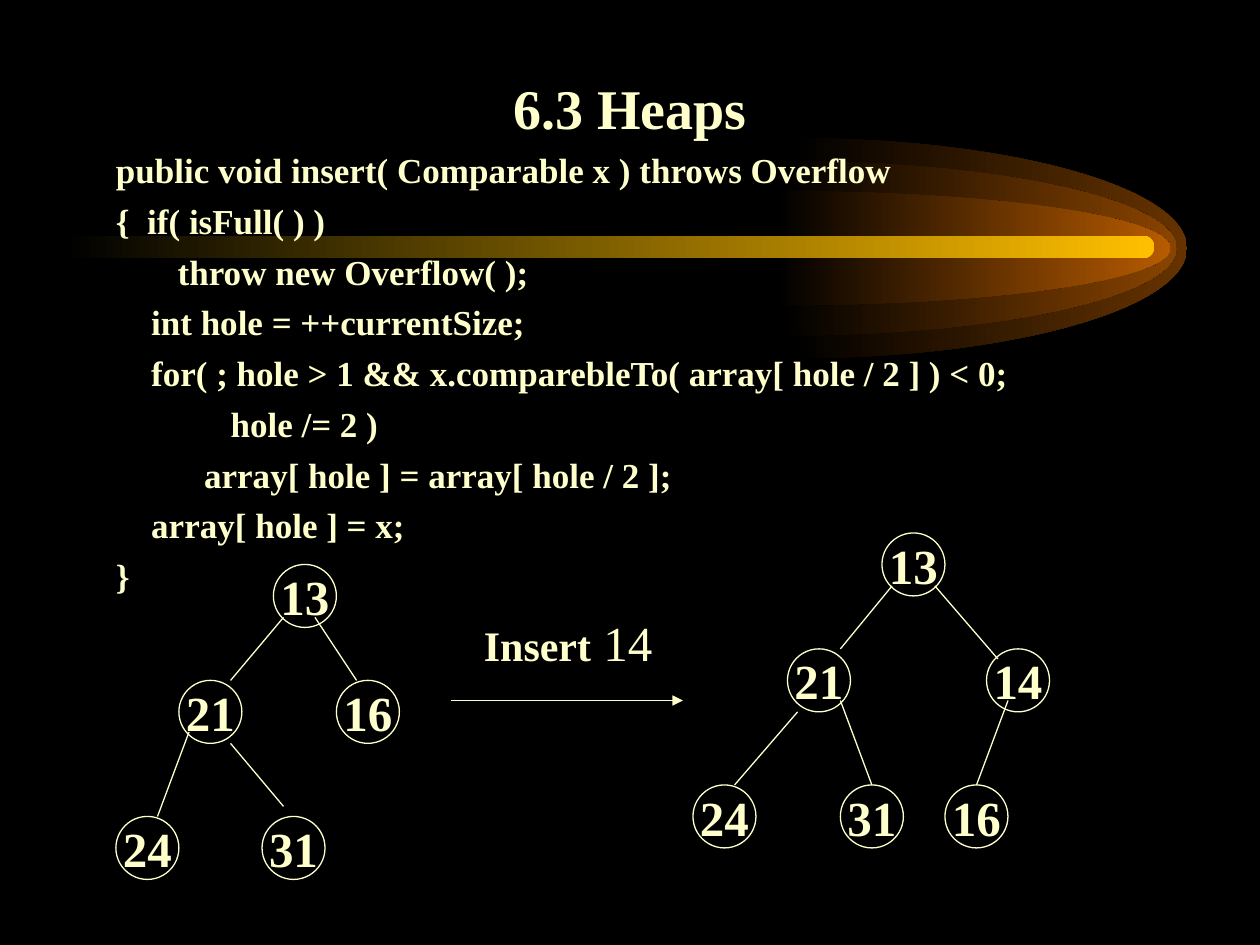
from lxml.etree import SubElement
from pptx import Presentation
from pptx.dml.color import RGBColor
from pptx.enum.shapes import MSO_CONNECTOR, MSO_SHAPE
from pptx.enum.text import MSO_ANCHOR, MSO_AUTO_SIZE, PP_ALIGN
from pptx.oxml.ns import qn
from pptx.util import Inches, Pt

COLORS = {"background": "000000", "ink": "FFFFCC", "bar": "FFBF00"}
FONT = "Times New Roman"
NODE_SIZE = 0.5
LINE_WIDTH = Pt(0.74)
COMET_MIDDLE = 1.97
INDENT_STEP = 0.07
ARC_PULL = 0.55

TITLE = "6.3 Heaps"
# (indent steps, code)
CODE = [
    (1, "public void insert( Comparable x ) throws Overflow"),
    (1, "{  if( isFull( ) )"),
    (8, "throw new Overflow( );"),
    (5, "int hole = ++currentSize;"),
    (5, "for( ; hole > 1 && x.comparebleTo( array[ hole / 2 ] ) < 0;"),
    (14, "hole /= 2 )"),
    (11, "array[ hole ] = array[ hole / 2 ];"),
    (5, "array[ hole ] = x;"),
    (1, "}"),
]
# (left, width, height, glow color)
GLOWS = [
    (6.29, 3.13, 1.75, "663300"),
    (6.21, 3.13, 1.39, "894400"),
    (6.16, 3.13, 0.91, "B75B00"),
]
# nodes: (key, left, top); edges: (x1, y1, x2, y2)
TREES = [
    {
        "nodes": [("13", 2.17, 4.48), ("21", 1.42, 5.4), ("16", 2.67, 5.4),
                  ("24", 0.92, 6.48), ("31", 2.08, 6.48)],
        "edges": [(2.25, 4.9, 1.83, 5.4), (2.5, 4.9, 2.83, 5.4),
                  (1.5, 5.81, 1.25, 6.48), (1.83, 5.9, 2.25, 6.4)],
    },
    {
        "nodes": [("16", 7.5, 6.23), ("31", 6.67, 6.23), ("24", 5.5, 6.23),
                  ("14", 7.83, 5.15), ("13", 7, 4.23), ("21", 6.25, 5.15)],
        "edges": [(7.08, 4.65, 6.67, 5.15), (6.33, 5.65, 5.83, 6.23),
                  (7.42, 4.65, 7.92, 5.23), (6.67, 5.56, 6.92, 6.23),
                  (8, 5.56, 7.75, 6.23)],
    },
]
INSERT_ARROW = (3.58, 5.56, 5.42, 5.56)


def rgb(name):
    """Return the named color."""
    return RGBColor.from_string(COLORS[name])


def style_font(font, size, bold=True):
    """Apply the slide's typeface and ink color."""
    font.name, font.size, font.bold = FONT, Pt(size), bold
    font.color.rgb = rgb("ink")


def place(shape, left, top, width, height):
    """Move and size a shape, in inches."""
    shape.left, shape.top = Inches(left), Inches(top)
    shape.width, shape.height = Inches(width), Inches(height)


def fade_from_black(shape, color):
    """Fill a shape with a left-to-right gradient out of the background."""
    shape.shadow.inherit = False
    shape.line.fill.background()
    shape.fill.gradient()
    shape.fill.gradient_angle = 0
    first, last = shape.fill.gradient_stops
    first.position, last.position = 0, 1
    first.color.rgb = rgb("background")
    last.color.rgb = RGBColor.from_string(color)


def add_glow(shapes, left, width, height, color):
    """Draw the right half of an ellipse as two quarter curves."""
    half = height / 2
    right, top = left + width, COMET_MIDDLE - half
    builder = shapes.build_freeform(Inches(left), Inches(top))
    builder.add_line_segments([(Inches(right), Inches(COMET_MIDDLE)),
                               (Inches(left), Inches(top + height))])
    glow = builder.convert_to_shape()
    pull_x, pull_y = width * ARC_PULL, half * ARC_PULL
    curves = [
        [(pull_x, 0), (width, half - pull_y), (width, half)],
        [(width, half + pull_y), (pull_x, height), (0, height)],
    ]
    segments = list(glow._element.iter(qn("a:lnTo")))
    for segment, points in zip(segments, curves):
        curve = segment.makeelement(qn("a:cubicBezTo"))
        for x, y in points:
            SubElement(curve, qn("a:pt"), x=str(Inches(x)), y=str(Inches(y)))
        segment.getparent().replace(segment, curve)
    fade_from_black(glow, color)


def add_node(shapes, key, left, top):
    """Draw one circled heap key."""
    node = shapes.add_shape(MSO_SHAPE.OVAL, Inches(left), Inches(top),
                            Inches(NODE_SIZE), Inches(NODE_SIZE))
    node.shadow.inherit = False
    node.fill.background()
    node.line.color.rgb, node.line.width = rgb("ink"), LINE_WIDTH
    frame = node.text_frame
    frame.word_wrap, frame.vertical_anchor = False, MSO_ANCHOR.MIDDLE
    paragraph = frame.paragraphs[0]
    paragraph.text, paragraph.alignment = key, PP_ALIGN.CENTER
    paragraph.space_before = Pt(7)
    style_font(paragraph.font, 28)


def add_line(shapes, ends, arrow=False):
    """Draw a straight line, with an arrowhead at its end on request."""
    line = shapes.add_connector(MSO_CONNECTOR.STRAIGHT, *map(Inches, ends))
    line.line.color.rgb, line.line.width = rgb("ink"), LINE_WIDTH
    if arrow:
        SubElement(line.line._get_or_add_ln(), qn("a:tailEnd"), type="triangle")
    SubElement(line._element.spPr, qn("a:effectLst"))


def fill_title(title):
    """Write the slide title."""
    place(title, 0.75, 0.42, 8.5, 0.75)
    frame = title.text_frame
    frame.text, frame.vertical_anchor = TITLE, MSO_ANCHOR.BOTTOM
    frame.auto_size = MSO_AUTO_SIZE.NONE
    frame.paragraphs[0].alignment = PP_ALIGN.CENTER
    style_font(frame.paragraphs[0].font, 32)


def fill_code(body):
    """Write the code listing, one indented paragraph a line."""
    place(body, 0.75, 1.08, 8.94, 3.69)
    frame = body.text_frame
    frame.auto_size = MSO_AUTO_SIZE.NONE
    frame.margin_top = Inches(0.1)
    frame.text = "\n".join(code for _, code in CODE)
    for paragraph, (steps, _) in zip(frame.paragraphs, CODE):
        paragraph.space_before = Pt(5)
        style_font(paragraph.font, 20)
        properties = paragraph._p.get_or_add_pPr()
        properties.set("marL", str(Inches(steps * INDENT_STEP)))
        properties.set("indent", "0")
        properties.insert_element_before(
            properties.makeelement(qn("a:buNone")), "a:tabLst", "a:defRPr")


def add_insert_label(shapes):
    """Write the caption above the arrow."""
    label = shapes.add_textbox(Inches(3.25), Inches(4.81), Inches(2.17), Inches(0.57))
    frame = label.text_frame
    frame.word_wrap, frame.margin_left = True, Inches(0.59)
    paragraph = frame.paragraphs[0]
    paragraph.space_before = Pt(17.5)
    for text, size, bold in [("Insert", 24, True), (" 14", 28, False)]:
        run = paragraph.add_run()
        run.text = text
        style_font(run.font, size, bold)


presentation = Presentation()
presentation.slide_width, presentation.slide_height = Inches(10), Inches(7.5)
slide = presentation.slides.add_slide(presentation.slide_layouts[1])
slide.background.fill.solid()
slide.background.fill.fore_color.rgb = rgb("background")
shapes = slide.shapes
title, body = shapes.placeholders

for glow in GLOWS:
    add_glow(shapes, *glow)
bar = shapes.add_shape(MSO_SHAPE.ROUNDED_RECTANGLE, Inches(0.5), Inches(1.87),
                       Inches(8.66), Inches(0.18))
bar.adjustments[0] = 0.5
fade_from_black(bar, COLORS["bar"])

fill_title(title)
fill_code(body)
for placeholder in (title, body):
    shapes._spTree.append(placeholder._element)

for tree in TREES:
    for node in tree["nodes"]:
        add_node(shapes, *node)
    for edge in tree["edges"]:
        add_line(shapes, edge)
add_line(shapes, INSERT_ARROW, arrow=True)
add_insert_label(shapes)

presentation.save("out.pptx")
